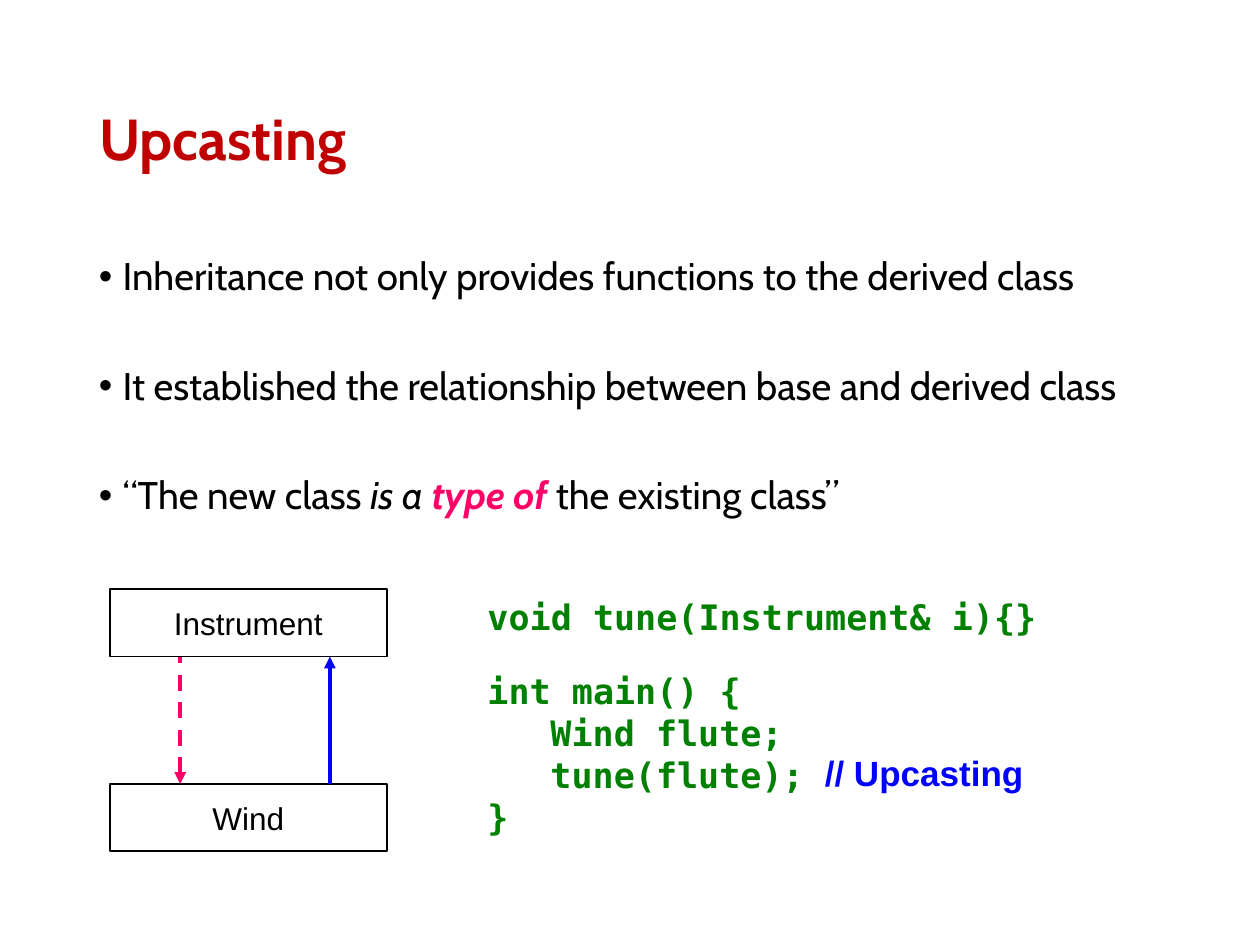
from lxml.etree import SubElement
from pptx import Presentation
from pptx.dml.color import RGBColor
from pptx.enum.dml import MSO_LINE
from pptx.enum.shapes import MSO_CONNECTOR, MSO_SHAPE
from pptx.enum.text import MSO_ANCHOR, PP_ALIGN
from pptx.oxml.ns import qn
from pptx.util import Pt

COLORS = {"title": "C00000", "text": "000000", "accent": "FF0066",
          "code": "008000", "upcast": "0000FF", "box": "FFFFFF"}


def add_run(p, text, size, font="Cabin", color="text", bold=False, italic=False):
    r = p.add_run()
    r.text = text
    r.font.size = Pt(size)
    r.font.name = font
    r.font.bold = bold
    r.font.italic = italic
    r.font.color.rgb = RGBColor.from_string(COLORS[color])


prs = Presentation()
prs.slide_width, prs.slide_height = Pt(720), Pt(540)
s = prs.slides.add_slide(prs.slide_layouts[5])

title = s.shapes.title
title.left, title.top, title.width, title.height = Pt(49.5), Pt(28.75), Pt(621), Pt(104.4)
title.text_frame.vertical_anchor = MSO_ANCHOR.MIDDLE
p = title.text_frame.paragraphs[0]
p.alignment = PP_ALIGN.LEFT
p.line_spacing = 0.9
add_run(p, "Upcasting", 33, color="title", bold=True)

bullets = [
    [("Inheritance not only provides functions to the derived class", {})],
    [("It established the relationship between base and derived class", {})],
    [("“The new class ", {}),
     ("is a ", {"italic": True}),
     ("type of ", {"italic": True, "bold": True, "color": "accent"}),
     ("the existing class”", {})],
]
tf = s.shapes.add_textbox(Pt(49.5), Pt(143.75), Pt(621), Pt(342.6)).text_frame
tf.word_wrap = True
for i, runs in enumerate(bullets):
    p = tf.add_paragraph() if i else tf.paragraphs[0]
    p.line_spacing = 0.9
    p.space_before = Pt(38.7 if i else 7.5)
    pPr = p._p.get_or_add_pPr()
    pPr.set("marL", str(Pt(13.5)))
    pPr.set("indent", str(Pt(-13.5)))
    SubElement(pPr, qn("a:buFont"), typeface="Arial")
    SubElement(pPr, qn("a:buChar"), char="•")
    for text, fmt in runs:
        add_run(p, text, 22, **fmt)

for name, top in [("Instrument", 336.75), ("Wind", 448)]:
    box = s.shapes.add_shape(MSO_SHAPE.RECTANGLE, Pt(62.75), Pt(top), Pt(158.25), Pt(38.5))
    box.shadow.inherit = False
    box.fill.solid()
    box.fill.fore_color.rgb = RGBColor.from_string(COLORS["box"])
    box.line.color.rgb = RGBColor.from_string(COLORS["text"])
    box.line.width = Pt(1)
    box.text_frame.vertical_anchor = MSO_ANCHOR.MIDDLE
    p = box.text_frame.paragraphs[0]
    p.alignment = PP_ALIGN.CENTER
    add_run(p, name, 18, "Arial")

for x, color, dash, end in [(188.5, "upcast", None, "a:tailEnd"),
                            (103, "accent", MSO_LINE.DASH, "a:headEnd")]:
    arrow = s.shapes.add_connector(MSO_CONNECTOR.STRAIGHT, Pt(x), Pt(448), Pt(x), Pt(375.25))
    arrow.line.color.rgb = RGBColor.from_string(COLORS[color])
    arrow.line.width = Pt(2.25)
    arrow.line.dash_style = dash
    SubElement(arrow.line._get_or_add_ln(), qn(end), type="triangle")
    SubElement(arrow._element.spPr, qn("a:effectLst"))

main_lines = [("int main() {", 0), ("Wind flute;", 36), ("tune(flute);", 36), ("}", 0)]
snippets = [
    (271.5, 336.75, 330, 31.5, "DejaVu Sans Mono", "code", [("void tune(Instrument& i){}", 0)]),
    (271.5, 379, 208, 104.4, "DejaVu Sans Mono", "code", main_lines),
    (464.25, 426, 129, 31.5, "Arial", "upcast", [("// Upcasting", 0)]),
]
for x, y, w, h, font, color, lines in snippets:
    tf = s.shapes.add_textbox(Pt(x), Pt(y), Pt(w), Pt(h)).text_frame
    tf.word_wrap = False
    for i, (text, indent) in enumerate(lines):
        p = tf.add_paragraph() if i else tf.paragraphs[0]
        p._p.get_or_add_pPr().set("marL", str(Pt(indent)))
        add_run(p, text, 20, font, color, bold=True)

prs.save("out.pptx")
